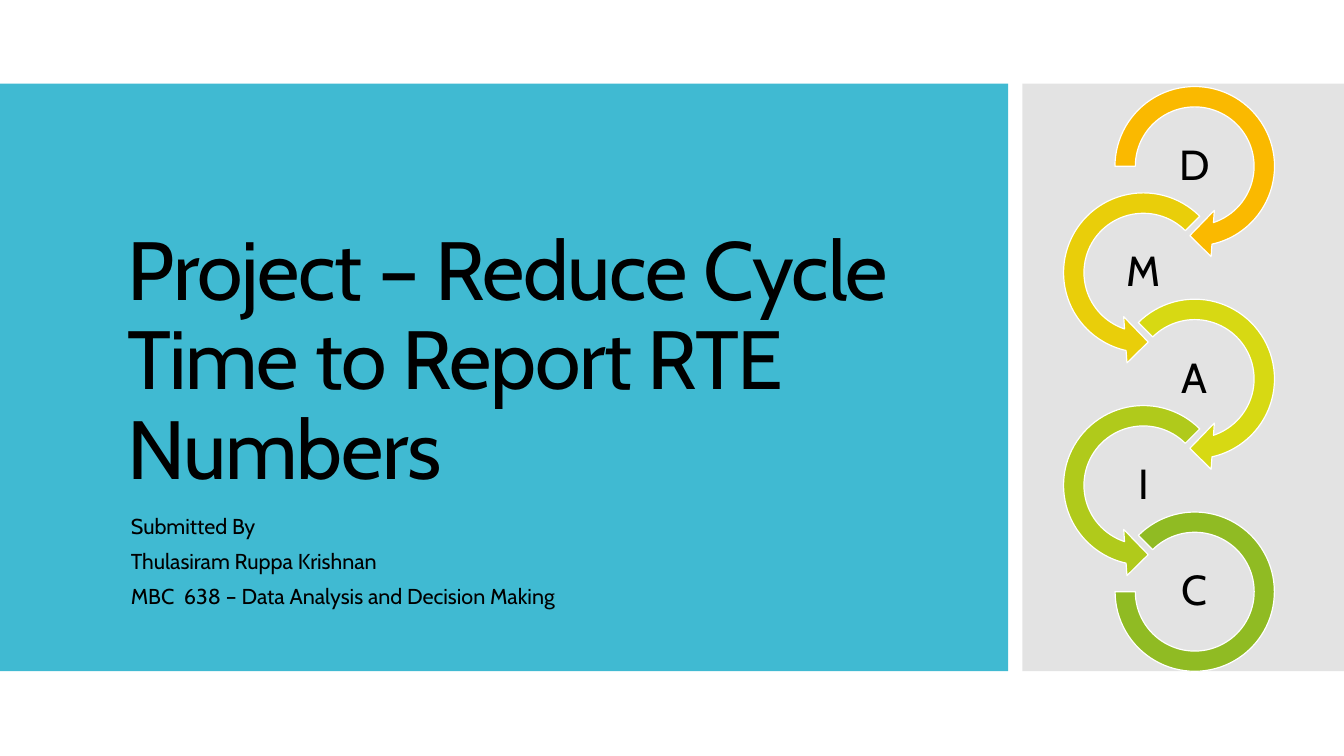
import pptx
import pptx.dml.color
import pptx.enum.shapes
import pptx.enum.text
import pptx.util
from lxml import etree
from pptx.oxml.ns import qn
from pptx.util import Inches

SHAPES = pptx.enum.shapes.MSO_SHAPE
ANCHORS = pptx.enum.text.MSO_ANCHOR
ALIGNS = pptx.enum.text.PP_ALIGN
FONT = "Cabin"

TITLE = "Project – Reduce Cycle Time to Report RTE Numbers"
SUBTITLE = [
    "Submitted By",
    "Thulasiram Ruppa Krishnan",
    "MBC  638 – Data Analysis and Decision Making",
]

# Preset outlines of the chain: shape, size and adjustments
FIRST_RING = (SHAPES.CIRCULAR_ARROW, 1.84, (0.11, 11.42, 45, 108, 0.125))
LEFT_RING = (SHAPES.LEFT_CIRCULAR_ARROW, 1.84, (0.11, 11.42, 63, 189, 0.125))
RIGHT_RING = (SHAPES.CIRCULAR_ARROW, 1.84, (0.11, 11.42, 45, 135, 0.125))
LAST_RING = (SHAPES.BLOCK_ARC, 1.58, (135, 108, 0.127))

# Letter, colour and outline of each phase, from top to bottom
PHASES = [
    ("D", "FAB900", FIRST_RING),
    ("M", "E9CE0A", LEFT_RING),
    ("A", "D7D913", RIGHT_RING),
    ("I", "B0CA1B", LEFT_RING),
    ("C", "90BB23", LAST_RING),
]
RIGHT_CENTER, LEFT_CENTER = 11.85, 11.34
FIRST_MIDDLE, PHASE_STEP = 1.65, 1.055


def color(hex_value):
    return pptx.dml.color.RGBColor.from_string(hex_value)


def add_filled_shape(page, kind, left, top, width, height, fill, alpha=None):
    shape = page.shapes.add_shape(
        kind, Inches(left), Inches(top), Inches(width), Inches(height))
    shape.shadow.inherit = False
    shape.fill.solid()
    shape.fill.fore_color.rgb = color(fill)
    shape.line.fill.background()
    if alpha is not None:
        tint = shape._element.spPr.find(".//" + qn("a:srgbClr"))
        etree.SubElement(tint, qn("a:alpha")).set("val", str(alpha * 1000))
    return shape


def add_text(page, left, top, width, height, lines, size, spacing,
             anchor=ANCHORS.TOP, align=ALIGNS.LEFT, before=0, tracking=0,
             inset=None):
    box = page.shapes.add_textbox(
        Inches(left), Inches(top), Inches(width), Inches(height))
    frame = box.text_frame
    frame.word_wrap = True
    frame.vertical_anchor = anchor
    if inset is not None:
        frame.margin_left = frame.margin_right = Inches(inset)
        frame.margin_top = frame.margin_bottom = Inches(inset)
    frame.text = "\n".join(lines)
    for para in frame.paragraphs:
        para.alignment = align
        para.line_spacing = spacing
        para.space_before = pptx.util.Pt(before)
        para.font.name = FONT
        para.font.size = pptx.util.Pt(size)
        para.font.color.rgb = color("000000")
        if tracking:
            for span in para.runs:
                span._r.get_or_add_rPr().set("spc", str(tracking * 100))


def add_phase(page, center, middle, letter, fill, outline):
    kind, size, adjustments = outline
    ring = add_filled_shape(
        page, kind, center - size / 2, middle - size / 2, size, size, fill)
    ring.line.color.rgb = color("FFFFFF")
    ring.line.width = pptx.util.Pt(0.85)
    for index, value in enumerate(adjustments):
        ring.adjustments[index] = value
    add_text(page, center - 0.51, middle - 0.25, 1.02, 0.51, [letter], 30, 0.9,
             anchor=ANCHORS.MIDDLE, align=ALIGNS.CENTER, inset=0.02)


def main():
    deck = pptx.Presentation()
    deck.slide_width = Inches(13.33)
    deck.slide_height = Inches(7.5)
    page = deck.slides.add_slide(deck.slide_layouts[6])

    # Background panels
    add_filled_shape(page, SHAPES.RECTANGLE, 0, 0.83, 10, 5.83, "40BAD2")
    add_filled_shape(page, SHAPES.RECTANGLE, 10.14, 0.83, 3.19, 5.83,
                     "C8C8C8", alpha=50)

    # Title and subtitle
    add_text(page, 1.17, 1.42, 8, 3.56, [TITLE], 59, 0.9,
             anchor=ANCHORS.BOTTOM, tracking=-1)
    add_text(page, 1.2, 5.11, 8, 1, SUBTITLE, 15.4, 0.7, before=12)

    # Chain of phases, alternating right and left
    for index, (letter, fill, outline) in enumerate(PHASES):
        center = LEFT_CENTER if index % 2 else RIGHT_CENTER
        middle = FIRST_MIDDLE + index * PHASE_STEP
        add_phase(page, center, middle, letter, fill, outline)

    deck.save("out.pptx")


if __name__ == "__main__":
    main()
